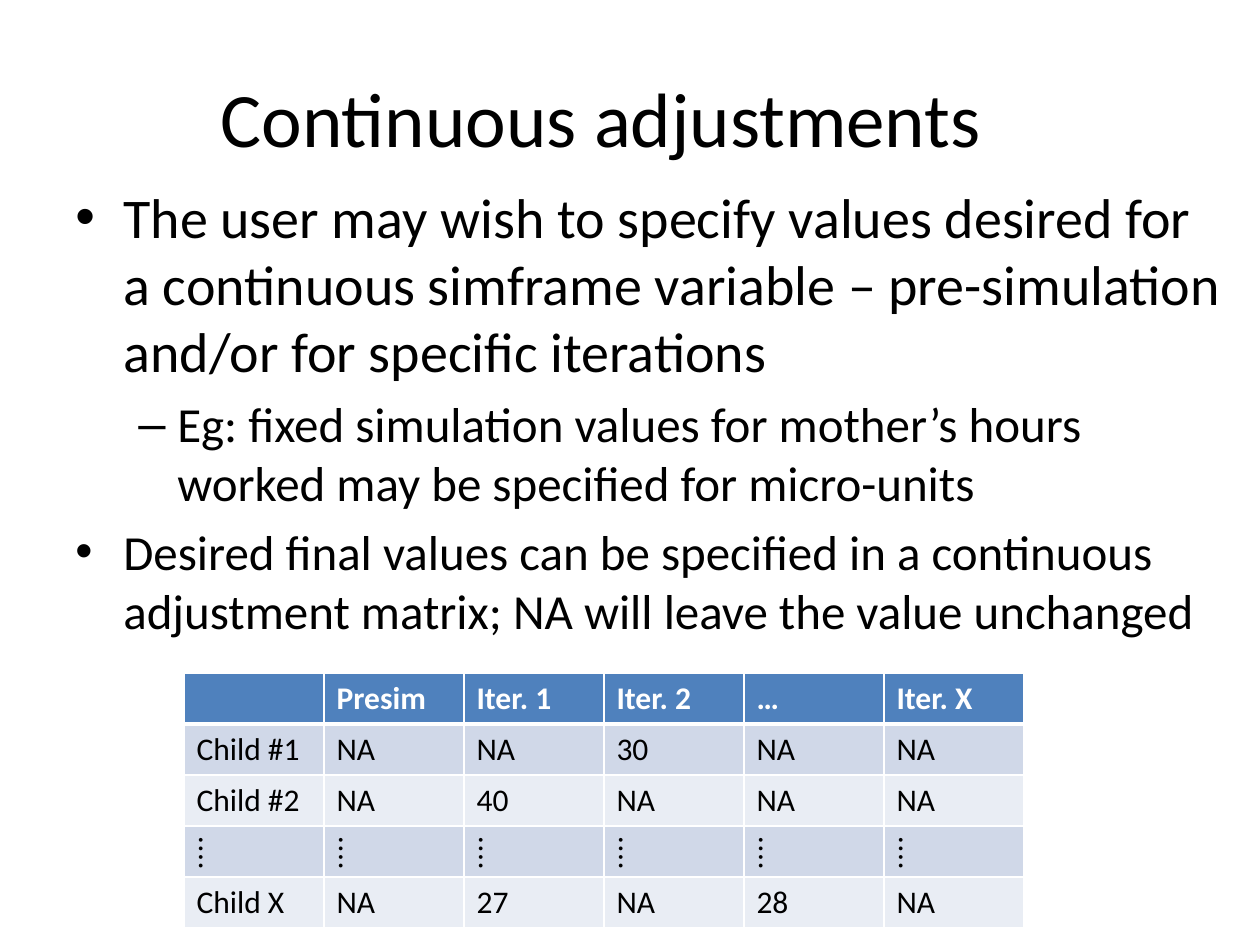
from lxml.etree import SubElement
from pptx import Presentation
from pptx.dml.color import RGBColor
from pptx.enum.text import MSO_ANCHOR, PP_ALIGN
from pptx.oxml.ns import qn
from pptx.util import Emu, Pt

SCALE = 914400 // 126
FONT = "Calibri"
BLACK, WHITE, HEADER = "000000", "FFFFFF", "4F81BD"
BANDS = ("D0D8E8", "E9EDF4")
BULLETS = [
    (0, 32, "•", "The user may wish to specify values desired for a continuous simframe "
     "variable – pre-simulation and/or for specific iterations"),
    (1, 28, "–", "Eg: fixed simulation values for mother’s hours worked may be "
     "specified for micro-units"),
    (0, 28, "•", "Desired final values can be specified in a continuous adjustment "
     "matrix; NA will leave the value unchanged"),
]
INDENTS = [(48, -48), (102, -39)]
ROWS = [
    ["", "Presim", "Iter. 1", "Iter. 2", "…", "Iter. X"],
    ["Child #1", "NA", "NA", "30", "NA", "NA"],
    ["Child #2", "NA", "40", "NA", "NA", "NA"],
    ["⁞"] * 6,
    ["Child X", "NA", "27", "NA", "28", "NA"],
]


def px(n):
    """Turn picture pixels into EMU."""
    return Emu(n * SCALE)


def rgb(value):
    """Turn a hex string into a colour."""
    return RGBColor.from_string(value)


def add_run(p, text, size, color=BLACK, bold=False):
    """Add one styled run to a paragraph."""
    r = p.add_run()
    r.text = text
    r.font.name, r.font.size, r.font.bold = FONT, Pt(size), bold
    r.font.color.rgb = rgb(color)


def add_text_frame(s, box, anchor):
    """Add a wrapping text box and return its frame."""
    tf = s.shapes.add_textbox(*map(px, box)).text_frame
    tf.word_wrap = True
    tf.vertical_anchor = anchor
    return tf


def add_title(s, box, text):
    """Place the centred title."""
    p = add_text_frame(s, box, MSO_ANCHOR.MIDDLE).paragraphs[0]
    p.alignment = PP_ALIGN.CENTER
    add_run(p, text, 44)


def add_bullets(s, box, items):
    """Place the bulleted body text."""
    tf = add_text_frame(s, box, MSO_ANCHOR.TOP)
    for i, (level, size, mark, text) in enumerate(items):
        p = tf.add_paragraph() if i else tf.paragraphs[0]
        p.level = level
        p.space_before = Pt(size * 0.2)
        pPr = p._p.get_or_add_pPr()
        left, hanging = INDENTS[level]
        pPr.set("marL", str(px(left)))
        pPr.set("indent", str(px(hanging)))
        SubElement(pPr, qn("a:buFont"), typeface="Arial")
        SubElement(pPr, qn("a:buChar"), char=mark)
        add_run(p, text, size)


def set_borders(cell, widths):
    """Draw white cell borders with widths in points by side."""
    tcPr = cell._tc.get_or_add_tcPr()
    for i, (side, width) in enumerate(widths.items()):
        ln = tcPr.makeelement(qn("a:ln" + side), {"w": str(Pt(width))})
        fill = SubElement(ln, qn("a:solidFill"))
        SubElement(fill, qn("a:srgbClr"), val=WHITE)
        tcPr.insert(i, ln)


def add_matrix(s, box, rows):
    """Place the banded adjustment matrix with equal rows and columns."""
    x, y, w, h = box
    table = s.shapes.add_table(len(rows), len(rows[0]), *map(px, box)).table
    for col in table.columns:
        col.width = px(w // len(rows[0]))
    for i, values in enumerate(rows):
        table.rows[i].height = px(h // len(rows))
        head = i == 0
        for j, text in enumerate(values):
            cell = table.cell(i, j)
            cell.fill.solid()
            cell.fill.fore_color.rgb = rgb(HEADER if head else BANDS[(i - 1) % 2])
            set_borders(cell, {"L": 1, "R": 1, "T": 3 if i == 1 else 1, "B": 3 if head else 1})
            if text:
                add_run(cell.text_frame.paragraphs[0], text, 18, WHITE if head else BLACK, head)


def main():
    """Build and save the slide."""
    prs = Presentation()
    prs.slide_width, prs.slide_height = px(1260), px(945)
    s = prs.slides.add_slide(prs.slide_layouts[6])
    add_title(s, (63, 38, 1134, 158), "Continuous adjustments\t")
    add_bullets(s, (63, 176, 1172, 624), BULLETS)
    add_matrix(s, (184, 673, 840, 255), ROWS)
    prs.save("out.pptx")


main()
